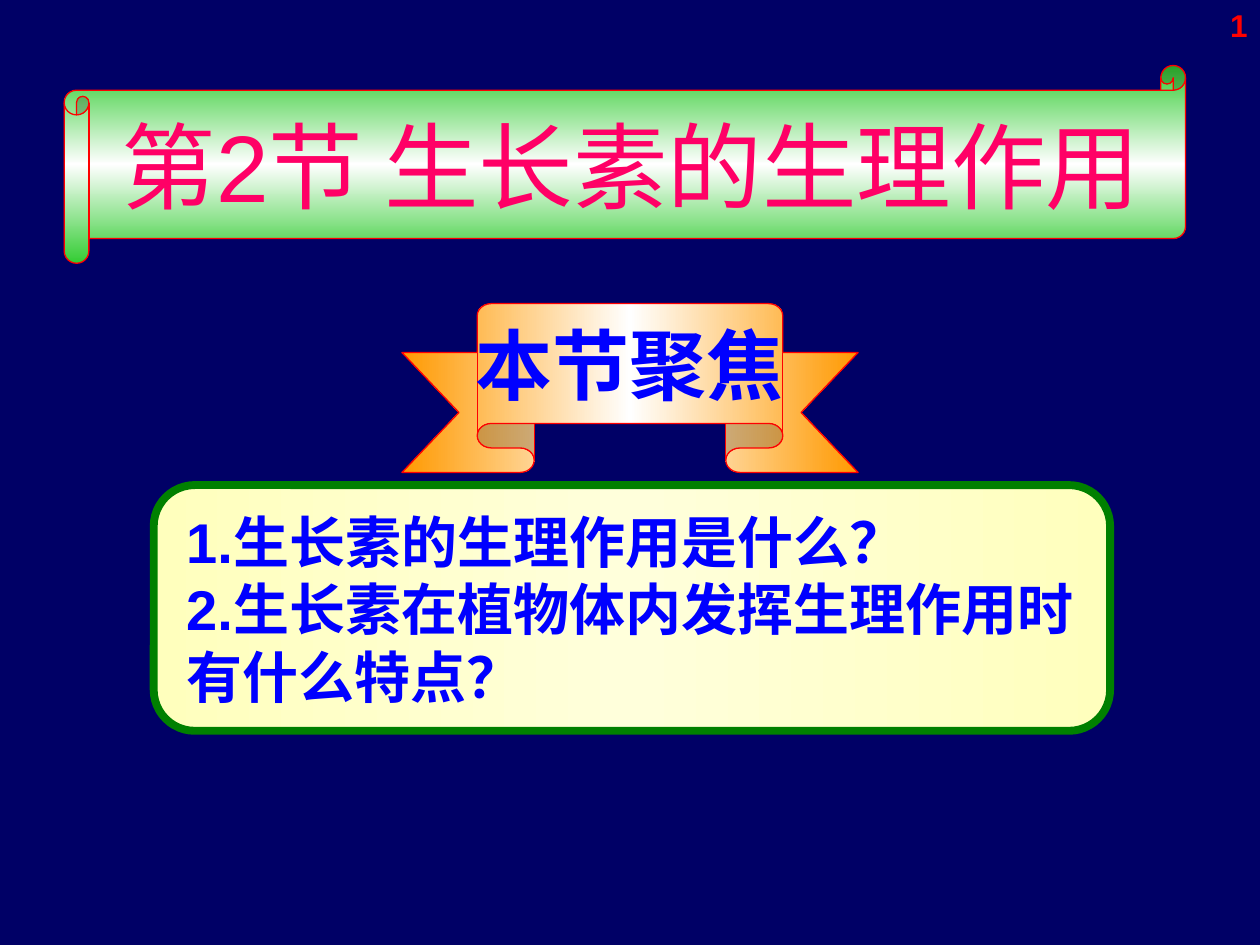
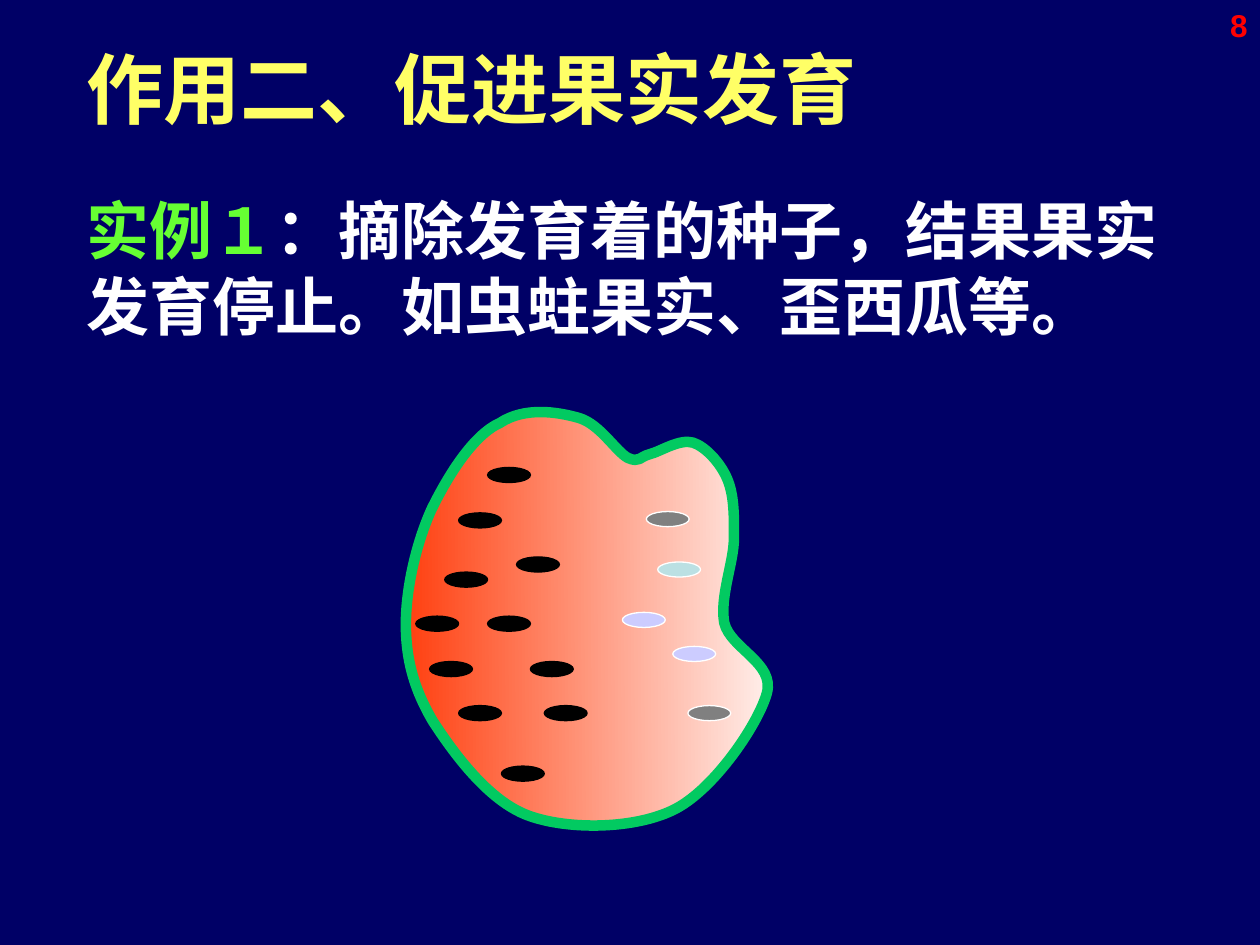
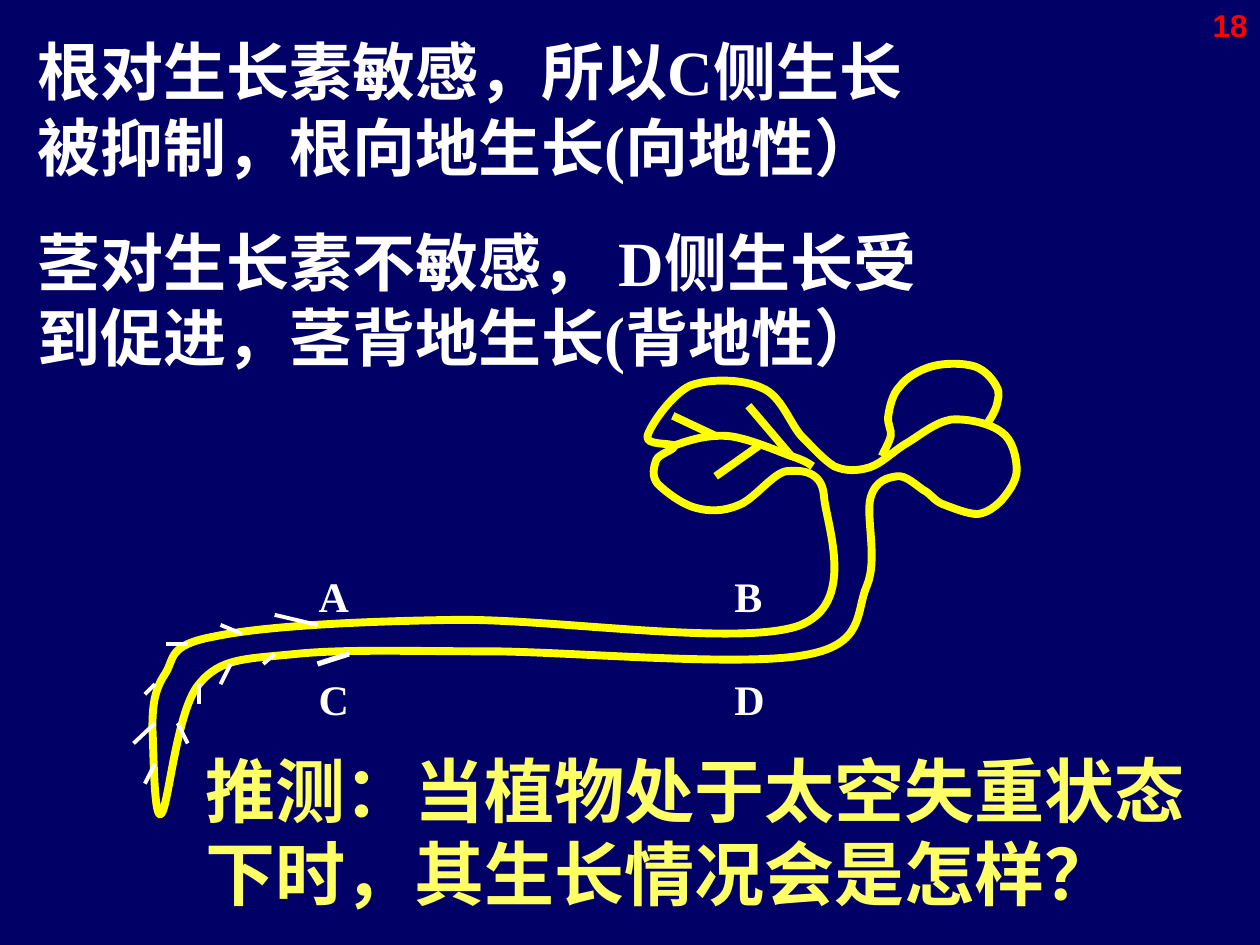
from copy import deepcopy

from lxml import etree
from pptx import Presentation
from pptx import util as u
from pptx.dml.color import RGBColor
from pptx.enum import shapes, text
from pptx.oxml import ns

NAVY = RGBColor(0x00, 0x00, 0x66)
RED = RGBColor(0xFF, 0x00, 0x00)
PINK = RGBColor(0xFF, 0x00, 0x66)
BLUE = RGBColor(0x00, 0x00, 0xFF)
WHITE = RGBColor(0xFF, 0xFF, 0xFF)
BLACK = RGBColor(0x00, 0x00, 0x00)
GREY = RGBColor(0x80, 0x80, 0x80)
LILAC = RGBColor(0xCC, 0xCC, 0xFF)
AQUA = RGBColor(0xBB, 0xE0, 0xE3)
LEAF = RGBColor(0x33, 0xCC, 0x33)
LIME = RGBColor(0x66, 0xFF, 0x33)
FOREST = RGBColor(0x00, 0x80, 0x00)
RIND = RGBColor(0x02, 0xCA, 0x61)
FLESH = RGBColor(0xFF, 0x33, 0x00)
ORANGE = RGBColor(0xFF, 0x99, 0x00)
CREAM = RGBColor(0xFF, 0xFF, 0xBD)
PALE_CREAM = RGBColor(0xFF, 0xFF, 0xDB)
LEMON = RGBColor(0xFF, 0xFF, 0x66)
YELLOW = RGBColor(0xFF, 0xFF, 0x00)
SERIF = "Times New Roman"


def write(frame, lines, size, color, font="Arial", bold=True, align=None, gap=0, tab=None):
    """Fill a text frame with one paragraph per line; gap is the points between them."""
    frame.word_wrap = True
    for index, line in enumerate(lines):
        para = frame.add_paragraph() if index else frame.paragraphs[0]
        para.text = line
        if tab:
            tabs = etree.SubElement(para._p.get_or_add_pPr(), ns.qn("a:tabLst"))
            etree.SubElement(tabs, ns.qn("a:tab"), pos=str(u.Inches(tab)), algn="l")
        if index and gap:
            para.space_before = u.Pt(gap)
        para.alignment = align
        para.font.size = u.Pt(size)
        para.font.name = font
        para.font.bold = bold
        para.font.color.rgb = color


def draw_curve(page, points, color, width, close=False):
    """Draw cubic curves; points are hundredths of an inch, three for each curve after the start."""
    builder = page.shapes.build_freeform(*points[0], scale=u.Inches(0.01))
    builder.add_line_segments(points[1:], close=close)
    shape = builder.convert_to_shape()
    route = shape._element.spPr.find(".//" + ns.qn("a:path"))
    steps = route.findall(ns.qn("a:lnTo"))
    for first in range(0, len(steps), 3):
        cubic = etree.SubElement(route, ns.qn("a:cubicBezTo"))
        steps[first].addprevious(cubic)
        for step in steps[first:first + 3]:
            cubic.append(step[0])
            route.remove(step)
    shape.shadow.inherit = False
    shape.fill.background()
    shape.line.color.rgb = color
    shape.line.width = u.Pt(width)
    return shape


deck = Presentation()
deck.slide_width, deck.slide_height = u.Inches(10), u.Inches(7.5)
deck.slide_master.background.fill.solid()
deck.slide_master.background.fill.fore_color.rgb = NAVY

pages = []
for number in ("1", "8", "18"):
    page = deck.slides.add_slide(deck.slide_layouts[6])
    box = page.shapes.add_textbox(*map(u.Inches, (7.67, 0, 2.33, 0.52)))
    write(box.text_frame, [number], 18, RED, align=text.PP_ALIGN.RIGHT)
    pages.append(page)
focus_page, fruit_page, seedling_page = pages

# Section title and focus questions
banners = []
for preset, place, edge, middle, angle, outline, width in (
    (shapes.MSO_SHAPE.HORIZONTAL_SCROLL, (0.51, 0.52, 8.9, 1.57), LEAF, WHITE, 270, RED, 0.75),
    (shapes.MSO_SHAPE.ROUNDED_RECTANGLE, (1.22, 3.85, 7.59, 1.95), CREAM, PALE_CREAM, 0, FOREST, 4.5),
    (shapes.MSO_SHAPE.UP_RIBBON, (3.19, 2.41, 3.62, 1.34), ORANGE, WHITE, 0, RED, 0.75),
):
    banner = focus_page.shapes.add_shape(preset, *map(u.Inches, place))
    banner.shadow.inherit = False
    banner.fill.gradient()
    banner.fill.gradient_angle = angle
    stops = banner._element.spPr.find(".//" + ns.qn("a:gsLst"))
    stops.insert(1, deepcopy(stops[0]))
    for stop, position, color in zip(banner.fill.gradient_stops, (0, 0.5, 1), (edge, middle, edge)):
        stop.position = position
        stop.color.rgb = color
    banner.line.color.rgb = outline
    banner.line.width = u.Pt(width)
    banners.append(banner)
scroll, panel, ribbon = banners
ribbon.adjustments[0], ribbon.adjustments[1] = 0.29, 0.67

write(scroll.text_frame, ["第2节 生长素的生理作用"], 54, PINK, bold=False, align=text.PP_ALIGN.CENTER)
write(ribbon.text_frame, ["本节聚焦"], 44, BLUE, align=text.PP_ALIGN.CENTER)
for banner in (scroll, ribbon):
    banner.text_frame.word_wrap = False
    banner.text_frame.vertical_anchor = text.MSO_ANCHOR.MIDDLE
questions = focus_page.shapes.add_textbox(*map(u.Inches, (1.38, 3.98, 7.27, 1.7)))
write(questions.text_frame,
      ["1.生长素的生理作用是什么？", "2.生长素在植物体内发挥生理作用时有什么特点？"], 32, BLUE)

# Fruit development
example = fruit_page.shapes.add_textbox(*map(u.Inches, (0.59, 0.28, 8.82, 2.5)))
write(example.text_frame, ["作用二、促进果实发育", ""], 44, LEMON, SERIF, gap=33)
para = example.text_frame.paragraphs[1]
para.font.size = u.Pt(36)
for words, color in (("实例１", LIME),
                     ("：摘除发育着的种子，结果果实发育停止。如虫蛀果实、歪西瓜等。", WHITE)):
    span = para.add_run()
    span.text = words
    span.font.color.rgb = color

fruit = draw_curve(fruit_page, [
    (379, 345), (397, 330), (423, 331), (441, 334), (458, 337), (473, 357), (483, 361),
    (493, 364), (492, 359), (500, 356), (508, 353), (522, 341), (533, 343),
    (543, 345), (556, 356), (563, 368), (570, 380), (572, 396), (574, 415),
    (576, 434), (568, 462), (574, 482), (581, 502), (618, 509), (614, 534),
    (610, 559), (582, 613), (553, 633), (524, 653), (470, 660), (437, 652),
    (404, 644), (372, 609), (353, 586), (335, 562), (326, 539), (323, 511),
    (320, 483), (324, 447), (333, 419), (343, 391), (359, 357), (379, 345),
], RIND, 6, close=True)
fruit.rotation = 6.6
fruit.fill.gradient()
fruit.fill.gradient_angle = 7
for stop, color in zip(fruit.fill.gradient_stops, (FLESH, WHITE)):
    stop.color.rgb = color

ripe_seeds = ((3.53, 4.54), (3.87, 4.89), (4.21, 5.25), (4.1, 4.42), (3.64, 4.07), (4.32, 5.6),
              (3.41, 5.25), (3.64, 5.6), (3.87, 3.71), (3.98, 6.08), (3.3, 4.89))
seeds = [(*place, BLACK, BLACK) for place in ripe_seeds] + [
    (4.94, 4.86, LILAC, WHITE), (5.46, 5.6, GREY, WHITE), (5.34, 5.13, LILAC, WHITE),
    (5.13, 4.06, GREY, WHITE), (5.22, 4.46, AQUA, WHITE)]
for left, top, color, outline in seeds:
    seed = fruit_page.shapes.add_shape(
        shapes.MSO_SHAPE.OVAL, *map(u.Inches, (left, top, 0.34, 0.12)))
    seed.shadow.inherit = False
    seed.fill.solid()
    seed.fill.fore_color.rgb = color
    seed.line.color.rgb = outline
    seed.line.width = u.Pt(0.75)

# Seedling lying on its side
body = [
    (121, 578), (121, 559), (123, 547), (131, 535), (139, 523), (132, 512), (171, 505),
    (209, 497), (285, 493), (362, 492), (439, 491), (584, 513), (633, 497),
    (682, 480), (655, 414), (654, 393), (652, 373), (635, 373), (624, 374),
    (613, 376), (598, 397), (586, 401), (574, 406), (563, 406), (552, 403),
    (541, 400), (528, 390), (522, 384), (517, 378), (519, 370), (521, 365),
    (523, 360), (536, 357), (535, 354), (533, 351), (512, 354), (514, 346),
    (516, 338), (533, 313), (548, 306), (564, 300), (591, 301), (605, 308),
    (620, 314), (627, 336), (636, 346), (646, 356), (654, 365), (662, 370),
    (671, 374), (680, 374), (690, 371), (700, 368), (710, 357), (721, 351),
    (732, 344), (743, 335), (755, 333), (768, 332), (786, 336), (795, 343),
    (804, 349), (807, 364), (807, 373), (807, 382), (800, 391), (795, 397),
    (790, 402), (784, 407), (776, 408), (768, 408), (756, 403), (748, 400),
    (741, 397), (739, 392), (733, 389), (727, 385), (719, 377), (712, 378),
    (705, 379), (695, 381), (691, 395), (687, 410), (697, 444), (688, 465),
    (679, 486), (687, 512), (638, 520), (589, 529), (462, 518), (395, 517),
    (328, 517), (274, 515), (235, 519), (195, 523), (175, 522), (158, 543),
    (140, 564), (134, 640), (128, 646), (122, 652), (122, 592), (121, 578),
]
midrib = [(534, 354), (548, 349), (561, 345), (577, 346), (592, 347), (617, 358), (628, 362),
          (640, 366), (642, 368), (645, 370)]
back_leaf = [(700, 362), (701, 359), (706, 351), (707, 346), (708, 341), (704, 337), (705, 330),
             (706, 324), (708, 313), (714, 307), (719, 300), (729, 294), (739, 291),
             (749, 288), (765, 288), (774, 291), (782, 294), (788, 301), (791, 307),
             (794, 312), (792, 317), (791, 322), (789, 328), (786, 333), (782, 338)]
draw_curve(seedling_page, body, YELLOW, 4.5, close=True)
for points in (midrib, back_leaf):
    draw_curve(seedling_page, points, YELLOW, 4.5)

root_hairs = ((2.18, 5.19, 2.09, 5.27), (1.83, 5.27, 1.75, 5.43), (1.58, 5.43, 1.58, 5.59),
              (1.41, 5.74, 1.49, 5.9), (1.23, 5.43, 1.15, 5.51), (1.49, 5.11, 1.32, 5.11),
              (1.92, 5.03, 1.75, 4.96), (2.52, 4.96, 2.18, 4.88), (1.23, 6.06, 1.15, 6.22),
              (1.23, 5.74, 1.06, 5.9))
thick_hair = ((2.77, 5.19, 2.52, 5.27),)
leaf_veins = ((5.68, 3.46, 5.34, 3.3), (6.02, 3.54, 5.68, 3.78), (6.28, 3.62, 5.94, 3.22))
for strokes, color, width in ((root_hairs, WHITE, 2.25), (thick_hair, WHITE, 3),
                              (leaf_veins, YELLOW, 4.5)):
    for ends in strokes:
        stroke = seedling_page.shapes.add_connector(
            shapes.MSO_CONNECTOR.STRAIGHT, *map(u.Inches, ends))
        stroke.line.color.rgb = color
        stroke.line.width = u.Pt(width)
        etree.SubElement(stroke._element.spPr, ns.qn("a:effectLst"))

sides = seedling_page.shapes.add_textbox(*map(u.Inches, (2.43, 4.48, 4.07, 1.3)))
write(sides.text_frame, ["A\tB", "C\tD"], 24, WHITE, SERIF, gap=30, tab=3.3)
reasons = seedling_page.shapes.add_textbox(*map(u.Inches, (0.2, 0.21, 7.4, 3.42)))
write(reasons.text_frame,
      ["根对生长素敏感，所以C侧生长被抑制，根向地生长(向地性）",
       "茎对生长素不敏感， D侧生长受到促进，茎背地生长(背地性）"], 36, WHITE, SERIF, gap=22.5)
guess = seedling_page.shapes.add_textbox(*map(u.Inches, (1.53, 5.88, 8.13, 1.44)))
write(guess.text_frame, ["推测：当植物处于太空失重状态下时，其生长情况会是怎样？"],
      40, LEMON, "Noto Sans CJK JP")

deck.save("out.pptx")
